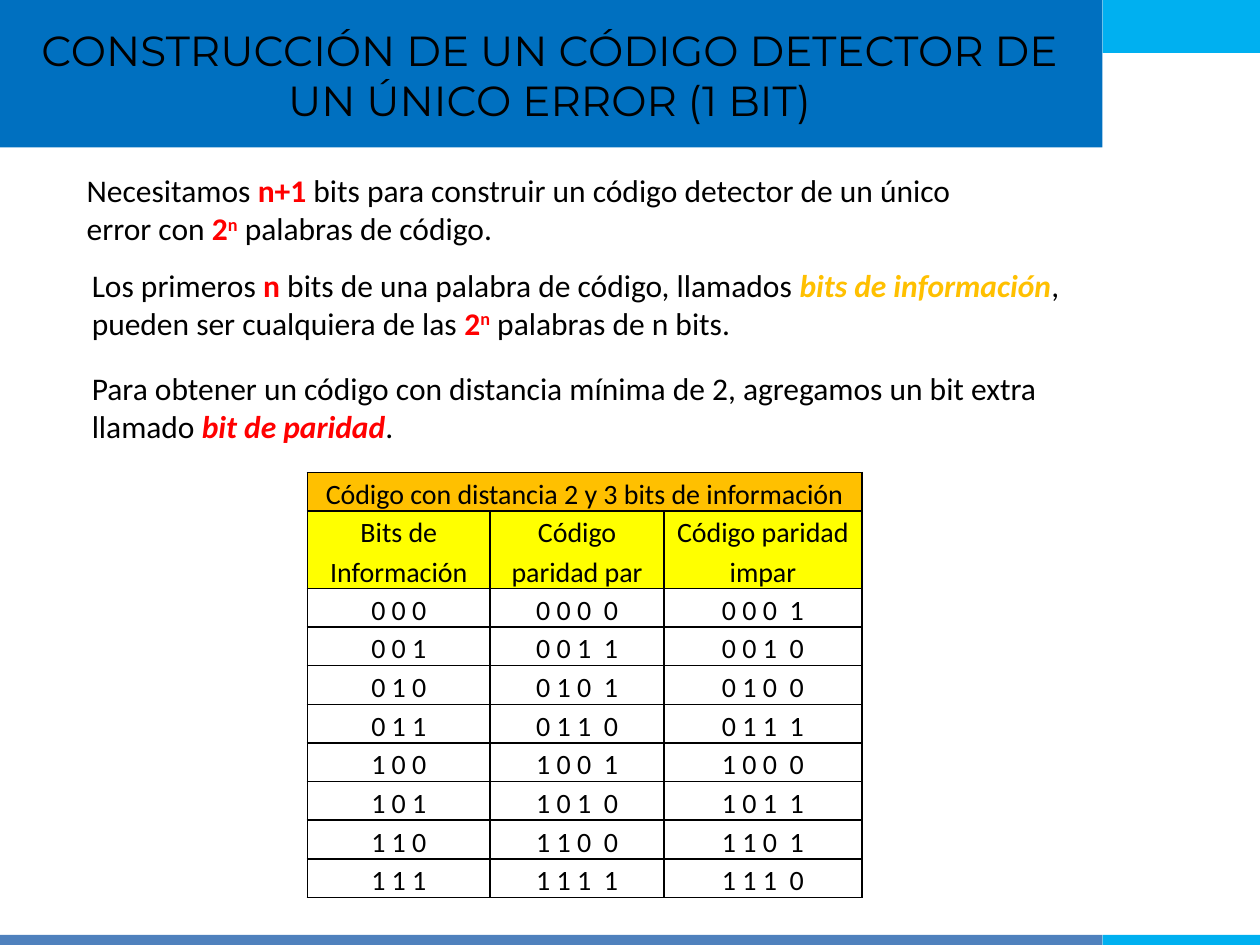
from dataclasses import dataclass
from itertools import product

from lxml.etree import SubElement
from pptx import Presentation
from pptx.dml.color import RGBColor
from pptx.enum.shapes import MSO_SHAPE
from pptx.enum.text import MSO_ANCHOR, MSO_AUTO_SIZE, PP_ALIGN
from pptx.oxml.ns import qn
from pptx.slide import Slide
from pptx.table import _Cell
from pptx.text.text import _Run
from pptx.util import Emu, Inches, Pt

SLIDE_WIDTH, SLIDE_HEIGHT = Inches(10), Inches(7.5)
GRID_COLUMNS = 100
UNIT = SLIDE_WIDTH / GRID_COLUMNS  # square grid, 100 columns by 75 rows


@dataclass(frozen=True)
class Theme:
    title_font: str = "Montserrat"
    body_font: str = "Calibri"
    title_size: int = 24
    body_size: int = 18
    table_size: int = 16
    black: str = "000000"
    red: str = "FF0000"
    amber: str = "FFC000"
    yellow: str = "FFFF00"
    blue: str = "0070C0"
    sky: str = "00B0F0"
    steel: str = "4F81BD"


@dataclass(frozen=True)
class Box:
    """A rectangle in grid columns and rows."""
    column: float
    row: float
    columns: float
    rows: float

    def lengths(self) -> tuple[Emu, ...]:
        return tuple(grid(value) for value in (self.column, self.row, self.columns, self.rows))


@dataclass(frozen=True)
class Piece:
    """A stretch of text in one format."""
    text: str
    color: str = Theme.black
    bold: bool = False
    italic: bool = False
    superscript: bool = False


@dataclass(frozen=True)
class Statement:
    box: Box
    pieces: tuple[Piece, ...]


THEME = Theme()
BAND_SPLIT = 87.5
FOOTER_ROW, FOOTER_ROWS = 74.2, 0.8
BANDS = (
    (Box(0, 0, BAND_SPLIT, 11.7), THEME.blue),
    (Box(BAND_SPLIT, 0, GRID_COLUMNS - BAND_SPLIT, 4.2), THEME.sky),
    (Box(0, FOOTER_ROW, BAND_SPLIT, FOOTER_ROWS), THEME.steel),
    (Box(BAND_SPLIT, FOOTER_ROW, GRID_COLUMNS - BAND_SPLIT, FOOTER_ROWS), THEME.sky),
)
TITLE = Statement(
    Box(1.1, 1.1, 85, 9.7),
    (Piece("CONSTRUCCIÓN DE UN CÓDIGO DETECTOR DE UN ÚNICO ERROR (1 BIT)"),),
)
TWO_TO_THE_N = (
    Piece("2", THEME.red, bold=True),
    Piece("n", THEME.red, bold=True, superscript=True),
)
STATEMENTS = (
    Statement(Box(5.9, 13.1, 75.6, 7.1), (
        Piece("Necesitamos "),
        Piece("n+1", THEME.red, bold=True),
        Piece(" bits para construir un código detector de un único error con "),
        *TWO_TO_THE_N,
        Piece(" palabras de código."),
    )),
    Statement(Box(6.3, 20.6, 79.1, 7.1), (
        Piece("Los primeros "),
        Piece("n", THEME.red, bold=True),
        Piece(" bits de una palabra de código, llamados "),
        Piece("bits de información", THEME.amber, bold=True, italic=True),
        Piece(", pueden ser cualquiera de las "),
        *TWO_TO_THE_N,
        Piece(" palabras de n bits."),
    )),
    Statement(Box(6.3, 28.8, 79.1, 7.1), (
        Piece("Para obtener un código con distancia mínima de 2, agregamos un bit extra llamado "),
        Piece("bit de paridad", THEME.red, bold=True, italic=True),
        Piece("."),
    )),
)
TABLE_TITLE = "Código con distancia 2 y 3 bits de información"
TABLE_HEADINGS = ("Bits de Información", "Código paridad par", "Código paridad impar")
TABLE_COLUMNS = (14.5, 13.8, 15.7)
TABLE_LINE_ROWS = 3.06
INFORMATION_BITS = 3


def grid(count: float) -> Emu:
    return Emu(round(count * UNIT))


def format_run(run: _Run, piece: Piece, font_name: str, size: int) -> None:
    font = run.font
    font.name, font.size = font_name, Pt(size)
    font.bold, font.italic = piece.bold, piece.italic
    font.color.rgb = RGBColor.from_string(piece.color)
    if piece.superscript:
        run._r.get_or_add_rPr().set("baseline", "30000")


def add_band(slide: Slide, box: Box, color: str) -> None:
    shape = slide.shapes.add_shape(MSO_SHAPE.RECTANGLE, *box.lengths())
    shape.shadow.inherit = False
    shape.fill.solid()
    shape.fill.fore_color.rgb = RGBColor.from_string(color)
    shape.line.fill.background()


def add_statement(slide: Slide, statement: Statement, font_name: str, size: int,
                  is_title: bool = False) -> None:
    text_frame = slide.shapes.add_textbox(*statement.box.lengths()).text_frame
    text_frame.word_wrap = True
    paragraph = text_frame.paragraphs[0]
    if is_title:
        text_frame.vertical_anchor = MSO_ANCHOR.MIDDLE
        paragraph.alignment = PP_ALIGN.CENTER
    else:
        text_frame.auto_size = MSO_AUTO_SIZE.SHAPE_TO_FIT_TEXT
    for piece in statement.pieces:
        run = paragraph.add_run()
        run.text = piece.text
        format_run(run, piece, font_name, size)


def add_borders(cell: _Cell) -> None:
    properties = cell._tc.get_or_add_tcPr()
    for side in ("a:lnL", "a:lnR", "a:lnT", "a:lnB"):
        line = SubElement(properties, qn(side), w=str(Pt(1)))
        fill = SubElement(line, qn("a:solidFill"))
        SubElement(fill, qn("a:srgbClr"), val=THEME.black)


def format_cell(cell: _Cell, text: str, color: str | None) -> None:
    add_borders(cell)
    if color:
        cell.fill.solid()
        cell.fill.fore_color.rgb = RGBColor.from_string(color)
    else:
        cell.fill.background()
    cell.margin_left = cell.margin_right = Inches(0.07)
    cell.margin_top = cell.margin_bottom = 0
    paragraph = cell.text_frame.paragraphs[0]
    paragraph.text = text
    paragraph.alignment = PP_ALIGN.CENTER
    paragraph.line_spacing = 1.15
    paragraph.font.size = Pt(THEME.table_size)
    for run in paragraph.runs:
        format_run(run, Piece(text), THEME.body_font, THEME.table_size)


def code_rows() -> list[tuple[str, str, str]]:
    """Every information word, alone and followed by its even and odd parity bits."""
    rows = []
    for bits in product((0, 1), repeat=INFORMATION_BITS):
        word = " ".join(map(str, bits))
        parity = sum(bits) % 2
        rows.append((word, f"{word}  {parity}", f"{word}  {1 - parity}"))
    return rows


def add_code_table(slide: Slide) -> None:
    rows = [(TABLE_TITLE, "", ""), TABLE_HEADINGS, *code_rows()]
    row_colors = [THEME.amber, THEME.yellow] + [None] * (len(rows) - 2)
    box = Box(24.4, 37.5, sum(TABLE_COLUMNS), (len(rows) + 1) * TABLE_LINE_ROWS)
    table = slide.shapes.add_table(len(rows), len(TABLE_COLUMNS), *box.lengths()).table
    table.first_row = table.horz_banding = False
    for column, width in zip(table.columns, TABLE_COLUMNS):
        column.width = grid(width)
    for index, (texts, color) in enumerate(zip(rows, row_colors)):
        lines = 2 if texts is TABLE_HEADINGS else 1
        table.rows[index].height = grid(lines * TABLE_LINE_ROWS)
        for cell, text in zip(table.rows[index].cells, texts):
            format_cell(cell, text, color)
    table.cell(0, 0).merge(table.cell(0, len(TABLE_COLUMNS) - 1))


def main() -> None:
    presentation = Presentation()
    presentation.slide_width, presentation.slide_height = SLIDE_WIDTH, SLIDE_HEIGHT
    slide = presentation.slides.add_slide(presentation.slide_layouts[6])
    for box, color in BANDS:
        add_band(slide, box, color)
    add_statement(slide, TITLE, THEME.title_font, THEME.title_size, is_title=True)
    for statement in STATEMENTS:
        add_statement(slide, statement, THEME.body_font, THEME.body_size)
    add_code_table(slide)
    presentation.save("out.pptx")


if __name__ == "__main__":
    main()
